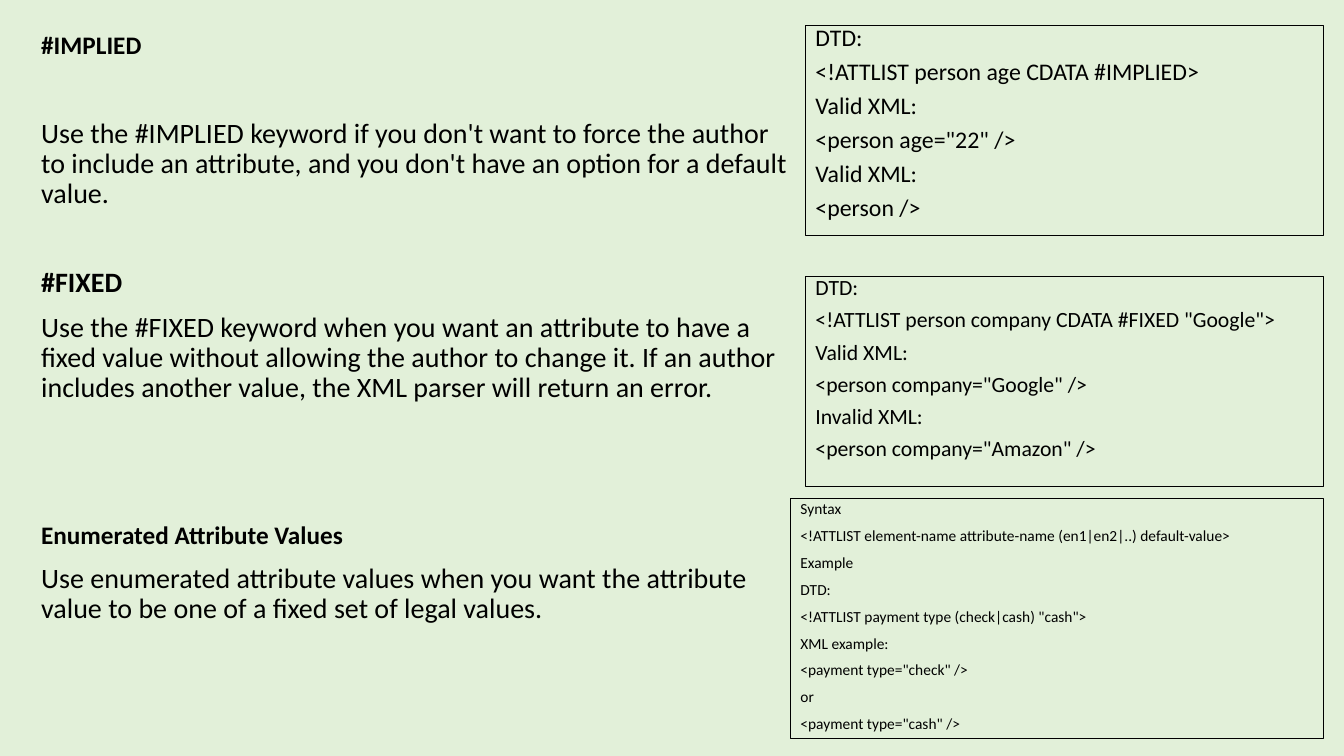
import pptx
import pptx.dml.color
import pptx.enum.shapes
import pptx.enum.text
import pptx.util

Inches = pptx.util.Inches
Pt = pptx.util.Pt

BLACK = pptx.dml.color.RGBColor(0x00, 0x00, 0x00)
PALE_GREEN = pptx.dml.color.RGBColor(0xE2, 0xF0, 0xD9)

KEYWORD_NOTES = [
    ("#IMPLIED", 18, True, 0),
    ("Use the #IMPLIED keyword if you don't want to force the author to include "
     "an attribute, and you don't have an option for a default value.", 20, False, 42),
    ("#FIXED", 20, True, 42),
    ("Use the #FIXED keyword when you want an attribute to have a fixed value "
     "without allowing the author to change it. If an author includes another "
     "value, the XML parser will return an error.", 20, False, 10),
    ("Enumerated Attribute Values", 18, True, 85),
    ("Use enumerated attribute values when you want the attribute value to be "
     "one of a fixed set of legal values.", 20, False, 10),
]

IMPLIED_CODE = [
    "DTD:",
    "<!ATTLIST person age CDATA #IMPLIED>",
    "Valid XML:",
    '<person age="22" />',
    "Valid XML:",
    "<person />",
]
FIXED_CODE = [
    "DTD:",
    '<!ATTLIST person company CDATA #FIXED "Google">',
    "Valid XML:",
    '<person company="Google" />',
    "Invalid XML:",
    '<person company="Amazon" />',
]
ENUMERATED_CODE = [
    "Syntax",
    "<!ATTLIST element-name attribute-name (en1|en2|..) default-value>",
    "Example",
    "DTD:",
    '<!ATTLIST payment type (check|cash) "cash">',
    "XML example:",
    '<payment type="check" />',
    "or",
    '<payment type="cash" />',
]


def fill_text(tf, rows, line_spacing):
    tf.word_wrap = True
    tf.vertical_anchor = pptx.enum.text.MSO_ANCHOR.TOP
    for i, (text, size, bold, gap) in enumerate(rows):
        p = tf.add_paragraph() if i else tf.paragraphs[0]
        p.text = text
        p.alignment = pptx.enum.text.PP_ALIGN.LEFT
        p.line_spacing = line_spacing
        p.space_before = Pt(gap)
        p.font.name = "Calibri"
        p.font.size = Pt(size)
        p.font.bold = bold
        p.font.color.rgb = BLACK


def add_notes(s, left, top, width, height, rows):
    sp = s.shapes.add_textbox(Inches(left), Inches(top), Inches(width), Inches(height))
    fill_text(sp.text_frame, rows, 0.9)


def add_code_box(s, left, top, width, height, lines, size):
    sp = s.shapes.add_shape(
        pptx.enum.shapes.MSO_SHAPE.RECTANGLE,
        Inches(left), Inches(top), Inches(width), Inches(height))
    sp.shadow.inherit = False
    sp.fill.background()
    sp.line.color.rgb = BLACK
    sp.line.width = Pt(0.75)
    rows = [(text, size, False, 10 if i else 0) for i, text in enumerate(lines)]
    fill_text(sp.text_frame, rows, 0.7)


def main():
    prs = pptx.Presentation()
    prs.slide_width = Inches(13.33)
    prs.slide_height = Inches(7.5)
    s = prs.slides.add_slide(prs.slide_layouts.get_by_name("Blank"))
    s.background.fill.solid()
    s.background.fill.fore_color.rgb = PALE_GREEN

    add_notes(s, 0.31, 0.28, 7.68, 7.03, KEYWORD_NOTES)
    add_code_box(s, 7.99, 0.25, 5.14, 2.09, IMPLIED_CODE, 17)
    add_code_box(s, 7.99, 2.74, 5.14, 2.09, FIXED_CODE, 15.5)
    add_code_box(s, 7.84, 4.95, 5.29, 2.38, ENUMERATED_CODE, 11)

    prs.save("out.pptx")


if __name__ == "__main__":
    main()
